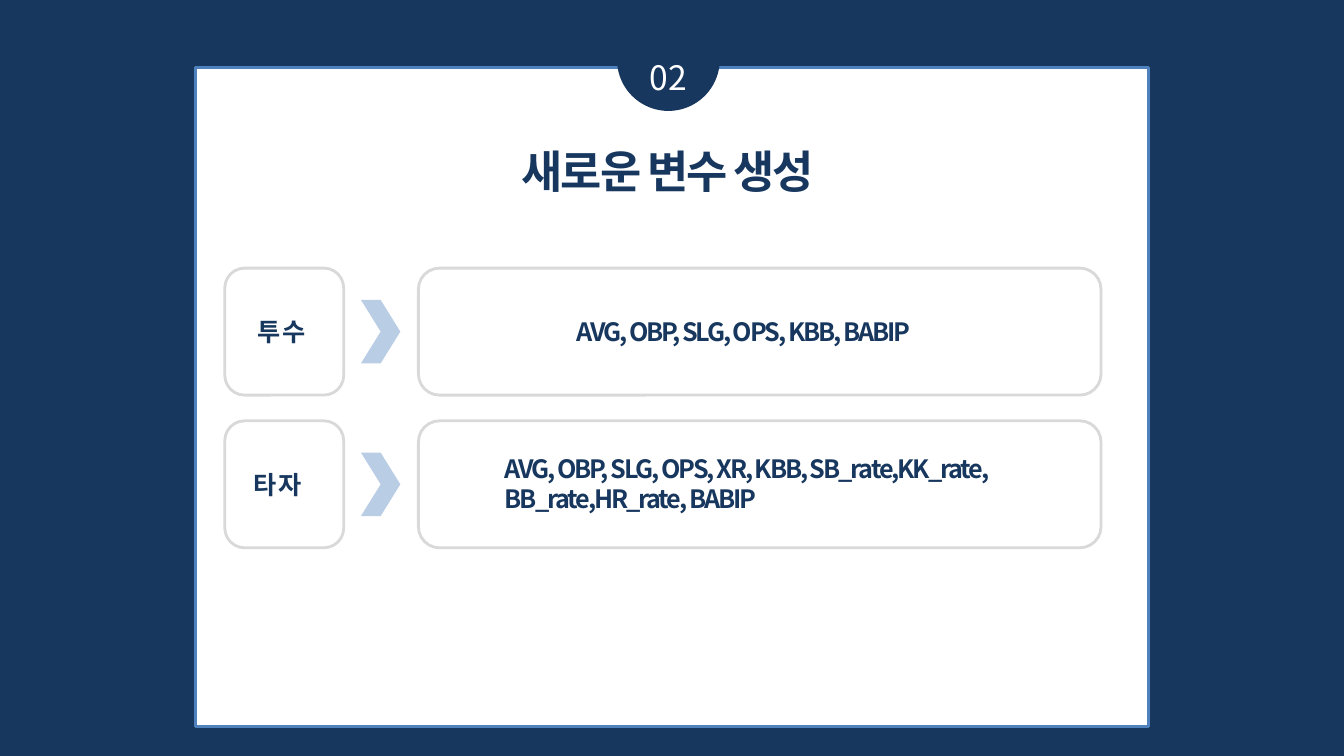
from dataclasses import dataclass

from lxml import etree
from pptx import Presentation
from pptx import util as u
from pptx.dml.color import RGBColor
from pptx.enum import shapes, text
from pptx.oxml import ns
from pptx.shapes.autoshape import Shape
from pptx.slide import Slide

NAVY = RGBColor(0x17, 0x37, 0x5E)
WHITE = RGBColor(0xFF, 0xFF, 0xFF)
BLUE = RGBColor(0x4F, 0x81, 0xBD)
GRAY = RGBColor(0xD9, 0xD9, 0xD9)
PALE_BLUE = RGBColor(0xB9, 0xCD, 0xE5)
FONT = "Noto Sans CJK KR"
WIDTH, HEIGHT = u.Inches(13.33), u.Inches(7.5)
ROW_TOP, ROW_PITCH, ROW_HEIGHT = 35.47, 20.2, 16.8
MSO = shapes.MSO_SHAPE


@dataclass(frozen=True)
class Box:
    """Position and size in percent of the slide."""
    x: float
    y: float
    w: float
    h: float

    def emu(self) -> tuple[int, int, int, int]:
        return (round(WIDTH * self.x / 100), round(HEIGHT * self.y / 100),
                round(WIDTH * self.w / 100), round(HEIGHT * self.h / 100))


@dataclass(frozen=True)
class Style:
    size: float
    color: RGBColor = NAVY
    bold: bool = True
    spacing: int = -150
    align: text.PP_ALIGN = text.PP_ALIGN.LEFT


@dataclass(frozen=True)
class PlayerRow:
    role: str
    role_x: float
    variables: str
    variables_x: float
    variables_dy: float
    variables_h: float


BODY = Style(18)
ROWS = [
    PlayerRow("투 수", 18.45, "AVG, OBP, SLG, OPS, KBB, BABIP", 42.16, 5.73, 5.33),
    PlayerRow("타 자", 18.15,
              "AVG, OBP, SLG, OPS, XR, KBB, SB_rate,KK_rate, BB_rate,HR_rate, BABIP",
              36.83, 3.67, 9.47),
]


def add_shape(s: Slide, kind: MSO, box: Box, fill: RGBColor | None = None,
              line: RGBColor | None = None) -> Shape:
    sp = s.shapes.add_shape(kind, *box.emu())
    sp.shadow.inherit = False
    if fill is None:
        sp.fill.background()
    else:
        sp.fill.solid()
        sp.fill.fore_color.rgb = fill
    if line is None:
        sp.line.fill.background()
    else:
        sp.line.color.rgb = line
        sp.line.width = u.Pt(2)
    return sp


def set_text(sp: Shape, content: str, style: Style) -> None:
    tf = sp.text_frame
    tf.text = content
    tf.word_wrap = True
    tf.auto_size = text.MSO_AUTO_SIZE.NONE
    tf.vertical_anchor = text.MSO_ANCHOR.TOP
    p = tf.paragraphs[0]
    p.alignment = style.align
    r = p.runs[0]
    r.font.size = u.Pt(style.size)
    r.font.bold = style.bold
    r.font.color.rgb = style.color
    r.font.name = FONT
    props = r.font._element
    props.set("spc", str(style.spacing))
    etree.SubElement(props, ns.qn("a:ea")).set("typeface", FONT)


def add_text(s: Slide, box: Box, content: str, style: Style) -> None:
    set_text(s.shapes.add_textbox(*box.emu()), content, style)


def add_title(s: Slide, box: Box, content: str) -> None:
    sp = s.shapes.title
    sp.left, sp.top, sp.width, sp.height = box.emu()
    set_text(sp, content, Style(32, align=text.PP_ALIGN.CENTER))
    s.shapes._spTree.append(sp._element)


def add_row(s: Slide, row: PlayerRow, top: float) -> None:
    add_shape(s, MSO.ROUNDED_RECTANGLE, Box(16.73, top, 8.85, ROW_HEIGHT), line=GRAY)
    add_shape(s, MSO.CHEVRON, Box(26.86, top + 4.2, 2.93, 8.4), fill=PALE_BLUE)
    add_shape(s, MSO.ROUNDED_RECTANGLE, Box(31.13, top, 50.79, ROW_HEIGHT), line=GRAY)
    add_text(s, Box(row.role_x, top + 5.73, 5.93, 5.33), row.role, BODY)
    add_text(s, Box(row.variables_x, top + row.variables_dy, 39.38, row.variables_h),
             row.variables, BODY)


def main() -> None:
    prs = Presentation()
    prs.slide_width, prs.slide_height = WIDTH, HEIGHT
    s = prs.slides.add_slide(prs.slide_layouts[5])
    s.background.fill.solid()
    s.background.fill.fore_color.rgb = NAVY

    add_shape(s, MSO.RECTANGLE, Box(14.55, 8.93, 70.89, 87.2), WHITE, BLUE)
    add_shape(s, MSO.OVAL, Box(45.91, 1.07, 7.65, 13.6), NAVY)
    add_text(s, Box(45.31, 6.93, 8.85, 6.67), "02",
             Style(24, WHITE, False, 0, text.PP_ALIGN.CENTER))
    add_title(s, Box(22.51, 18.4, 54.39, 8.53), "새로운 변수 생성")
    for i, row in enumerate(ROWS):
        add_row(s, row, ROW_TOP + i * ROW_PITCH)

    prs.save("out.pptx")


if __name__ == "__main__":
    main()
